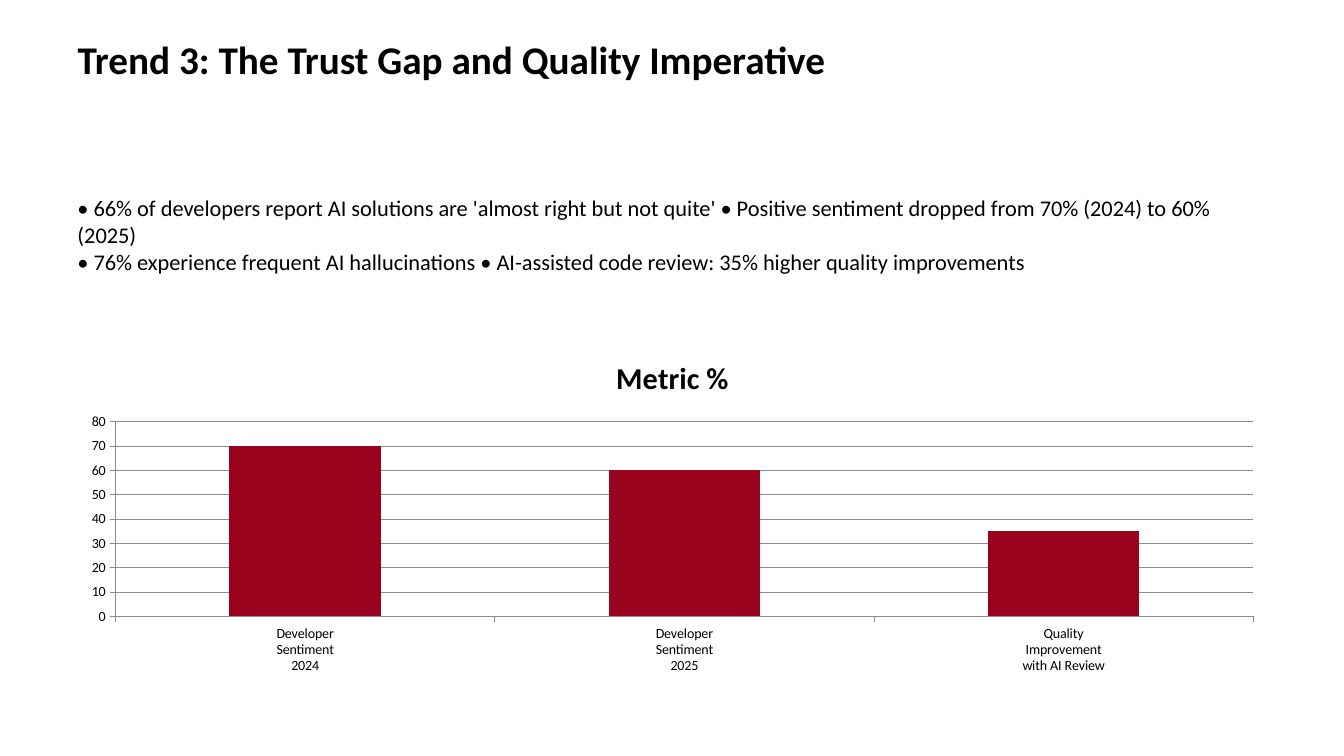
from pptx import Presentation
from pptx.chart.data import CategoryChartData
from pptx.dml.color import RGBColor
from pptx.enum.chart import XL_CHART_TYPE as ChartType, XL_TICK_MARK as TickMark
from pptx.enum.text import MSO_ANCHOR as Anchor, MSO_AUTO_SIZE as AutoSize, PP_ALIGN as Align
from pptx.util import Inches, Pt


def color(value):
    return RGBColor.from_string(value)


class TrendSlide:
    FONT = "Calibri"
    TEXT = "000000"
    GRID = "8B8B8B"
    ACCENT = "9A031E"
    LEFT = Inches(0.67)
    WIDTH = Inches(12)

    def __init__(self, presentation):
        self.slide = presentation.slides.add_slide(presentation.slide_layouts[5])

    def style_font(self, font, size, bold=False):
        font.name = self.FONT
        font.size = Pt(size)
        font.bold = bold
        font.color.rgb = color(self.TEXT)

    def style_line(self, line):
        line.color.rgb = color(self.GRID)
        line.width = Pt(0.5)

    def fill_text(self, shape, text, size, bold=False):
        frame = shape.text_frame
        frame.text = text
        frame.word_wrap = True
        frame.auto_size = AutoSize.NONE
        frame.vertical_anchor = Anchor.TOP
        for paragraph in frame.paragraphs:
            paragraph.alignment = Align.LEFT
            for run in paragraph.runs:
                self.style_font(run.font, size, bold)

    def add_title(self, text, top, height):
        title = self.slide.shapes.title
        title.left, title.top = self.LEFT, Inches(top)
        title.width, title.height = self.WIDTH, Inches(height)
        self.fill_text(title, text, 28, bold=True)

    def add_text(self, text, top, height):
        box = self.slide.shapes.add_textbox(self.LEFT, Inches(top), self.WIDTH, Inches(height))
        self.fill_text(box, text, 16)

    def add_column_chart(self, name, values, top, height):
        data = CategoryChartData()
        data.categories = list(values)
        data.add_series(name, list(values.values()))
        chart = self.slide.shapes.add_chart(
            ChartType.COLUMN_CLUSTERED, self.LEFT, Inches(top), self.WIDTH, Inches(height), data
        ).chart
        self.style_font(chart.font, 10)
        chart.has_legend = False
        chart.has_title = True
        title_frame = chart.chart_title.text_frame
        title_frame.text = name
        self.style_font(title_frame.paragraphs[0].runs[0].font, 21.6, bold=True)
        chart.chart_title.include_in_layout = False

        for axis in (chart.category_axis, chart.value_axis):
            axis.major_tick_mark = TickMark.OUTSIDE
            axis.minor_tick_mark = TickMark.NONE
            self.style_font(axis.tick_labels.font, 10)
            self.style_line(axis.format.line)
        chart.value_axis.has_major_gridlines = True
        self.style_line(chart.value_axis.major_gridlines.format.line)

        plot = chart.plots[0]
        plot.vary_by_categories = False
        plot.gap_width = 150
        fill = plot.series[0].format.fill
        fill.solid()
        fill.fore_color.rgb = color(self.ACCENT)


def main():
    presentation = Presentation()
    presentation.slide_width = Inches(13.33)
    presentation.slide_height = Inches(7.5)

    trend = TrendSlide(presentation)
    trend.add_title("Trend 3: The Trust Gap and Quality Imperative", 0.3, 0.56)
    trend.add_text(
        "• 66% of developers report AI solutions are 'almost right but not quite' "
        "• Positive sentiment dropped from 70% (2024) to 60% (2025)\v"
        "• 76% experience frequent AI hallucinations "
        "• AI-assisted code review: 35% higher quality improvements",
        1.88,
        1.22,
    )
    trend.add_column_chart(
        "Metric %",
        {
            "Developer\nSentiment\n2024": 70,
            "Developer\nSentiment\n2025": 60,
            "Quality\nImprovement\nwith AI Review": 35,
        },
        3.36,
        3.39,
    )
    presentation.save("out.pptx")


if __name__ == "__main__":
    main()
